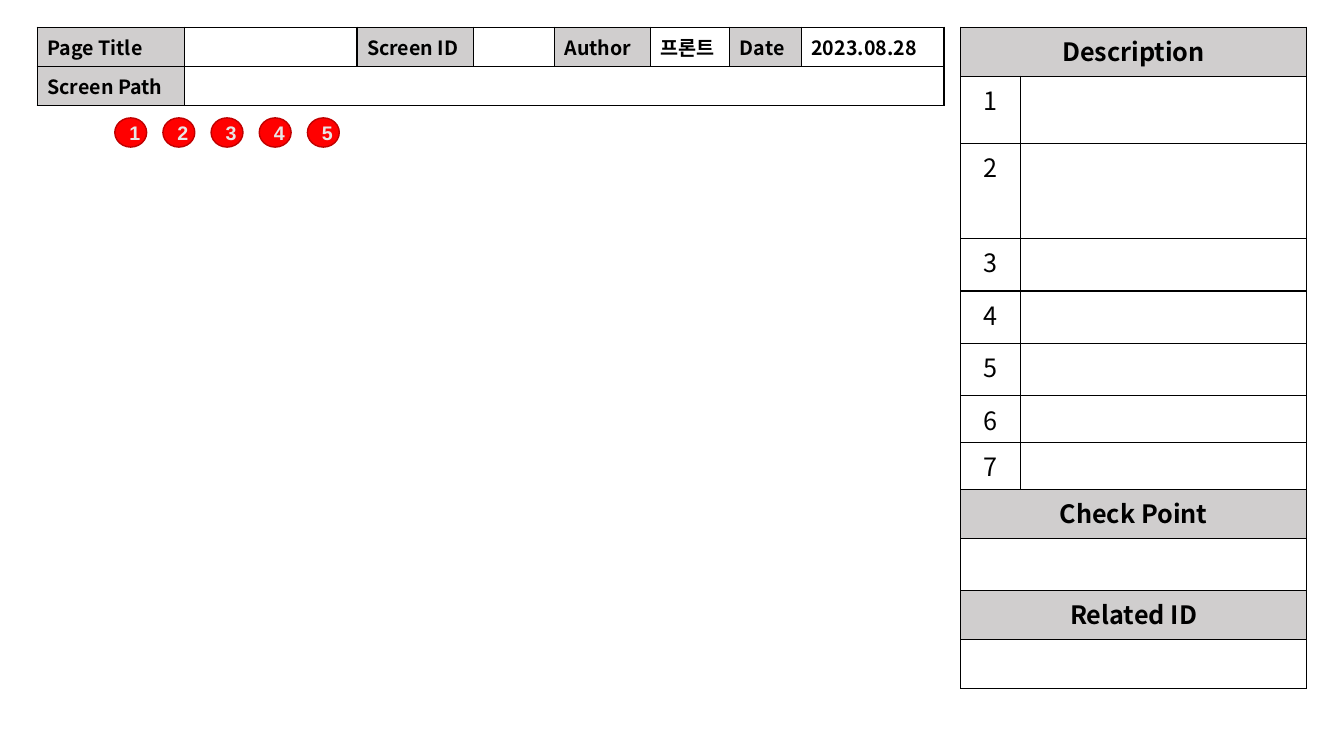
from dataclasses import dataclass

from lxml import etree
from pptx import Presentation
from pptx.dml.color import RGBColor
from pptx.enum.shapes import MSO_SHAPE
from pptx.enum.text import MSO_ANCHOR, PP_ALIGN
from pptx.oxml.ns import qn
from pptx.util import Pt

ELLIPSE = MSO_SHAPE.OVAL
MIDDLE = MSO_ANCHOR.MIDDLE
CENTER, LEFT = PP_ALIGN.CENTER, PP_ALIGN.LEFT
BLANK_LAYOUT = 6


@dataclass(frozen=True)
class Theme:
    ink: str = "000000"
    label_fill: str = "D0CECE"
    marker_fill: str = "FF0000"
    marker_line: str = "C00000"
    marker_text: str = "E7E6E6"
    table_font: str = "Noto Sans CJK KR"
    marker_font: str = "Arial"
    small: int = 14
    large: int = 18
    line: int = 1


THEME = Theme()


def color(code):
    return RGBColor.from_string(code)


def add_text(para, text, font, size, ink, bold, align):
    para.alignment = align
    span = para.add_run()
    span.text = text
    span.font.name = font
    span.font.size = Pt(size)
    span.font.bold = bold
    span.font.color.rgb = color(ink)
    east_asian = etree.SubElement(span.font._element, qn("a:ea"))
    east_asian.set("typeface", font)


def add_borders(cell):
    properties = cell._tc.get_or_add_tcPr()
    for side in ("a:lnL", "a:lnR", "a:lnT", "a:lnB"):
        line = etree.SubElement(properties, qn(side), w=str(Pt(THEME.line)))
        fill = etree.SubElement(line, qn("a:solidFill"))
        etree.SubElement(fill, qn("a:srgbClr"), val=THEME.ink)


def add_grid(page, left, top, columns, rows, size):
    """Add a plain bordered table whose empty cells keep the given text size."""
    frame = page.shapes.add_table(len(rows), len(columns), Pt(left), Pt(top),
                                  Pt(sum(columns)), Pt(sum(rows)))
    table = frame.table
    table.first_row = table.horz_banding = False
    for column, width in zip(table.columns, columns):
        column.width = Pt(width)
    for row, height in zip(table.rows, rows):
        row.height = Pt(height)
    for cell in table.iter_cells():
        add_borders(cell)
        cell.fill.background()
        para = cell.text_frame.paragraphs[0]
        etree.SubElement(para._p, qn("a:endParaRPr"), sz=str(size * 100))
    return table


def fill_cell(cell, text, size, align, bold=True, label=False):
    if label:
        cell.fill.solid()
        cell.fill.fore_color.rgb = color(THEME.label_fill)
    add_text(cell.text_frame.paragraphs[0], text, THEME.table_font, size,
             THEME.ink, bold, align)


# Numbered markers in an even row
def add_markers(page, left, top, width, height, pitch, count):
    for index in range(count):
        marker = page.shapes.add_shape(ELLIPSE, Pt(left + index * pitch), Pt(top),
                                       Pt(width), Pt(height))
        marker.shadow.inherit = False
        marker.fill.solid()
        marker.fill.fore_color.rgb = color(THEME.marker_fill)
        marker.line.color.rgb = color(THEME.marker_line)
        marker.line.width = Pt(THEME.line)
        marker.text_frame.vertical_anchor = MIDDLE
        marker.text_frame.word_wrap = True
        add_text(marker.text_frame.paragraphs[0], str(index + 1), THEME.marker_font,
                 THEME.small, THEME.marker_text, True, CENTER)


# Description panel: numbered notes, then two headed sections
def add_description(page, left, top):
    headings = {0: "Description", 8: "Check Point", 10: "Related ID"}
    rows = [35, 48.3, 67.7, 37.5, 37.5, 37.5, 33.4, 33.4, 35, 37.4, 35, 35]
    table = add_grid(page, left, top, [42.5, 204.5], rows, THEME.large)
    for index in range(len(rows)):
        cell = table.cell(index, 0)
        if 1 <= index <= 7:
            fill_cell(cell, str(index), THEME.large, CENTER, bold=False)
            continue
        cell.merge(table.cell(index, 1))
        if index in headings:
            fill_cell(cell, headings[index], THEME.large, CENTER, label=True)


# Page header: labels and their values
def add_header(page, left, top):
    labels = ("Page Title", "Screen ID", "Author", "Date")
    values = ("", "", "프론트", "2023.08.28")
    columns = [105.1, 123.3, 83.5, 57.6, 68.4, 56.9, 51.1, 101.9]
    table = add_grid(page, left, top, columns, [27.9, 27.9], THEME.small)
    for index, (label, value) in enumerate(zip(labels, values)):
        fill_cell(table.cell(0, 2 * index), label, THEME.small, LEFT, label=True)
        if value:
            fill_cell(table.cell(0, 2 * index + 1), value, THEME.small, LEFT)
    fill_cell(table.cell(1, 0), "Screen Path", THEME.small, LEFT, label=True)
    table.cell(1, 1).merge(table.cell(1, len(columns) - 1))


def main():
    deck = Presentation()
    deck.slide_width, deck.slide_height = Pt(960), Pt(540)
    page = deck.slides.add_slide(deck.slide_layouts[BLANK_LAYOUT])
    add_markers(page, left=82, top=84.2, width=22.8, height=20.9, pitch=34.4, count=5)
    add_description(page, left=686.2, top=19.4)
    add_header(page, left=26.6, top=19.4)
    deck.save("out.pptx")


if __name__ == "__main__":
    main()
